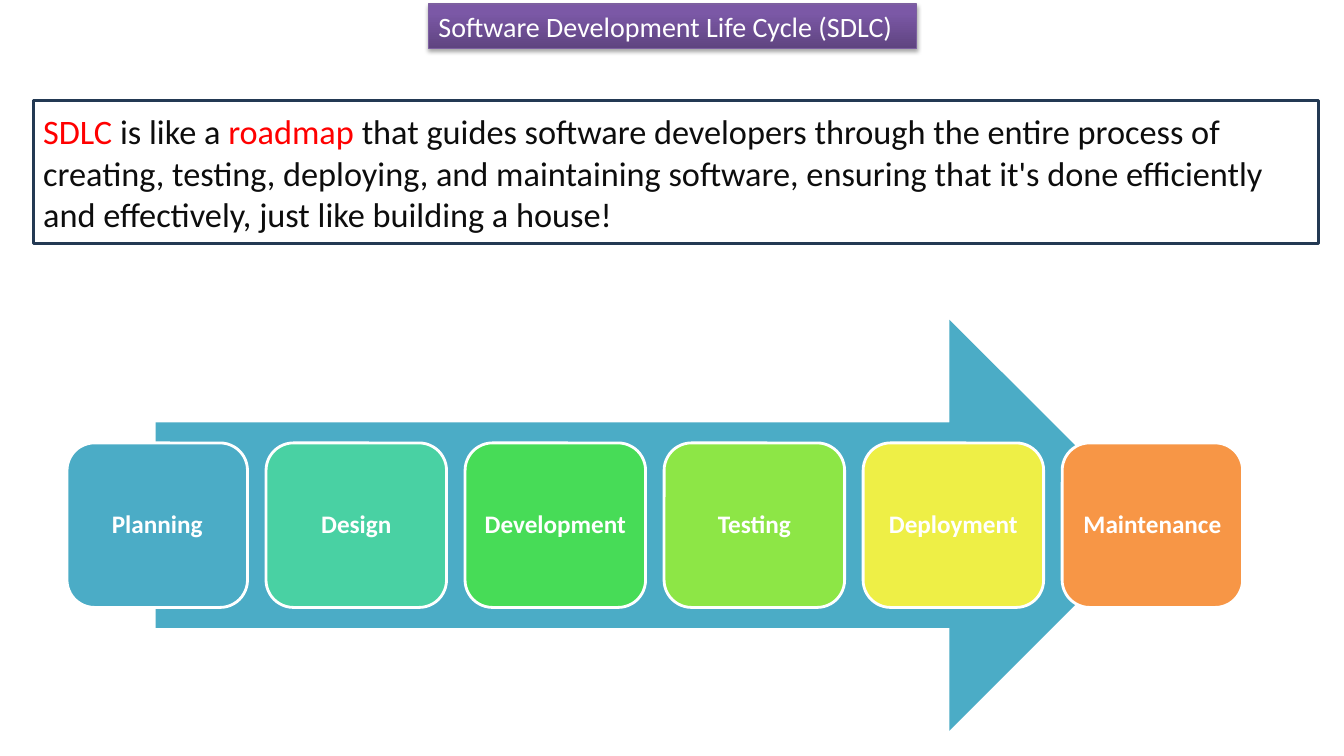
"""Build the Software Development Life Cycle slide."""
from copy import deepcopy

from lxml import etree
from pptx import Presentation
from pptx.dml.color import RGBColor
from pptx.enum import shapes, text
from pptx.oxml import ns
from pptx.util import Inches, Pt

FONT = "Calibri"
WHITE = RGBColor(0xFF, 0xFF, 0xFF)
RED = RGBColor(0xFF, 0x00, 0x00)
INK = RGBColor(0x0D, 0x0D, 0x0D)
NAVY = RGBColor(0x23, 0x39, 0x53)
PURPLE_EDGE = RGBColor(0x7D, 0x60, 0xA0)
TEAL = RGBColor(0x4B, 0xAC, 0xC6)
TITLE_STOPS = [
    (0, RGBColor(0x5F, 0x44, 0x80)),
    (0.8, RGBColor(0x7B, 0x58, 0xA6)),
    (1, RGBColor(0x7C, 0x57, 0xA8)),
]
PHASES = [
    ("Planning", TEAL),
    ("Design", RGBColor(0x49, 0xD1, 0xA3)),
    ("Development", RGBColor(0x47, 0xDC, 0x57)),
    ("Testing", RGBColor(0x8D, 0xE6, 0x46)),
    ("Deployment", RGBColor(0xEE, 0xEF, 0x46)),
    ("Maintenance", RGBColor(0xF7, 0x96, 0x46)),
]


def add_box(page, kind, box, fill=None, line=None, weight=2):
    """Add a preset shape without shadow, with an optional fill and outline."""
    shape = page.shapes.add_shape(kind, *(Inches(length) for length in box))
    shape.shadow.inherit = False
    if fill is not None:
        shape.fill.solid()
        shape.fill.fore_color.rgb = fill
    if line is None:
        shape.line.fill.background()
    else:
        shape.line.color.rgb = line
        shape.line.width = Pt(weight)
    return shape


def write(shape, runs, size, align=text.PP_ALIGN.LEFT, bold=False):
    """Write coloured runs into the first paragraph of a shape."""
    frame = shape.text_frame
    frame.word_wrap = True
    frame.vertical_anchor = text.MSO_ANCHOR.MIDDLE
    para = frame.paragraphs[0]
    para.alignment = align
    for wording, color in runs:
        span = para.add_run()
        span.text = wording
        span.font.name = FONT
        span.font.size = Pt(size)
        span.font.bold = bold
        span.font.color.rgb = color
    return para


def add_shadow(shape):
    """Give a shape a soft shadow straight below it."""
    effects = shape.element.spPr.find(ns.qn("a:effectLst"))
    shadow = etree.SubElement(
        effects, ns.qn("a:outerShdw"), blurRad=str(Pt(3.1)), dist=str(Pt(1.8)),
        dir="5400000", rotWithShape="0")
    color = etree.SubElement(shadow, ns.qn("a:srgbClr"), val="000000")
    etree.SubElement(color, ns.qn("a:alpha"), val="35000")


def add_title(page, box):
    """Draw the purple gradient title bar."""
    bar = add_box(page, shapes.MSO_SHAPE.RECTANGLE, box, line=PURPLE_EDGE, weight=0.75)
    bar.fill.gradient()
    bar.fill.gradient_angle = 90
    stop_list = bar.element.spPr.find(ns.qn("a:gradFill")).find(ns.qn("a:gsLst"))
    stop_list.append(deepcopy(stop_list[-1]))
    for stop, (position, color) in zip(bar.fill.gradient_stops, TITLE_STOPS):
        stop.position = position
        stop.color.rgb = color
    add_shadow(bar)
    write(bar, [("Software Development Life Cycle (SDLC)", WHITE)], 20)


def add_definition(page, box):
    """Draw the outlined definition of the life cycle."""
    panel = add_box(page, shapes.MSO_SHAPE.RECTANGLE, box, WHITE, NAVY)
    write(panel, [
        ("SDLC", RED),
        (" is like a ", INK),
        ("roadmap", RED),
        (" that guides software developers through the entire process of creating, "
         "testing, deploying, and maintaining software, ensuring that it's done "
         "efficiently and effectively, just like building a house!", INK),
    ], 24.5)


def add_process(page, box):
    """Draw the arrow with the row of phase cards across its middle."""
    left, top, width, height = box
    inset = 0.075 * width
    add_box(page, shapes.MSO_SHAPE.RIGHT_ARROW,
            (left + inset, top, width - 2 * inset, height), TEAL)
    card_width, card_height, margin = 1.79, 0.4 * height, 0.07
    first = left - 0.2 + inset - 0.68
    pitch = 1.974
    for index, (phase, color) in enumerate(PHASES):
        card = add_box(page, shapes.MSO_SHAPE.ROUNDED_RECTANGLE,
                       (first + index * pitch, top + 0.3 * height, card_width, card_height),
                       color, WHITE)
        frame = card.text_frame
        frame.margin_left = frame.margin_right = Inches(margin)
        frame.margin_top = frame.margin_bottom = Inches(margin)
        para = write(card, [(phase, WHITE)], 18, text.PP_ALIGN.CENTER, bold=True)
        para.line_spacing = 0.9


def main():
    """Build and save the deck."""
    deck = Presentation()
    deck.slide_width, deck.slide_height = Inches(13.33), Inches(7.5)
    page = deck.slides.add_slide(deck.slide_layouts[6])
    add_title(page, (4.25, 0.04, 4.84, 0.44))
    add_process(page, (0.67, 3.17, 11.66, 4.08))
    add_definition(page, (0.33, 1, 12.75, 1.42))
    deck.save("out.pptx")


if __name__ == "__main__":
    main()
